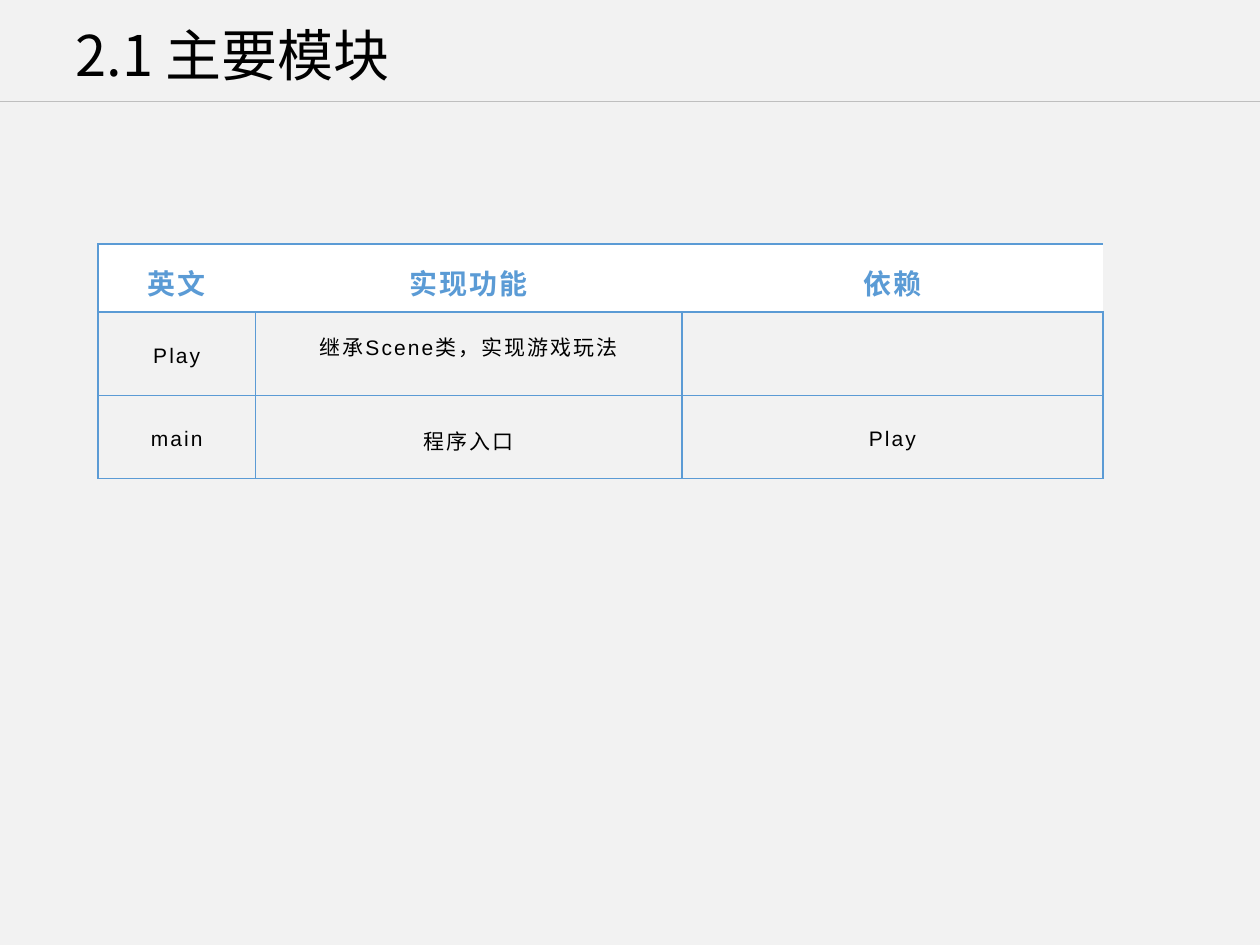
from lxml.etree import SubElement
from pptx import Presentation
from pptx.dml.color import RGBColor
from pptx.enum.shapes import MSO_CONNECTOR
from pptx.enum.text import MSO_ANCHOR, MSO_AUTO_SIZE, PP_ALIGN
from pptx.oxml.ns import qn
from pptx.util import Pt

COLORS = {
    "background": "F2F2F2",
    "rule": "BFBFBF",
    "accent": "5B9BD5",
    "header": "FFFFFF",
    "text": "000000",
}
TITLE_FONT = "Noto Sans CJK SC"
TABLE_FONT = "Arial"
COLUMN_WIDTHS = [90, 243.6, 240.8]
ROW_HEIGHTS = [38.7, 47.7, 47.7]
MODULES = [
    ["英文", "实现功能", "依赖"],
    ["Play", "继承Scene类，实现游戏玩法", ""],
    ["main", "程序入口", "Play"],
]


def color(name):
    return RGBColor.from_string(COLORS[name])


def write_text(frame, text, *, font, size, fill="text", bold=False,
               align=PP_ALIGN.LEFT, line_spacing=1.0, tracking=0):
    paragraph = frame.paragraphs[0]
    paragraph.alignment = align
    paragraph.line_spacing = line_spacing
    run = paragraph.add_run()
    run.text = text
    run.font.name = font
    run.font.size = Pt(size)
    run.font.bold = bold
    run.font.color.rgb = color(fill)
    properties = run.font._element
    SubElement(properties, qn("a:ea")).set("typeface", TITLE_FONT)
    if tracking:
        properties.set("spc", str(round(tracking * 100)))


def set_border(cell, side, visible):
    properties = cell._tc.get_or_add_tcPr()
    line = SubElement(properties, qn(f"a:ln{side}"), w=str(Pt(1)))
    if visible:
        fill = SubElement(line, qn("a:solidFill"))
        SubElement(fill, qn("a:srgbClr"), val=COLORS["accent"])
    else:
        SubElement(line, qn("a:noFill"))


def add_heading(slide, left, top, width, height):
    title = slide.shapes.title
    title.left, title.top = Pt(left), Pt(top)
    title.width, title.height = Pt(width), Pt(height)
    frame = title.text_frame
    frame.auto_size = MSO_AUTO_SIZE.NONE
    frame.vertical_anchor = MSO_ANCHOR.MIDDLE
    write_text(frame, "2.1 主要模块", font=TITLE_FONT, size=32, line_spacing=0.9)


def add_rule(slide, left, top, width):
    rule = slide.shapes.add_connector(
        MSO_CONNECTOR.STRAIGHT, Pt(left), Pt(top), Pt(left + width), Pt(top))
    rule.line.color.rgb = color("rule")
    rule.line.width = Pt(0.5)
    SubElement(rule._element.spPr, qn("a:effectLst"))


def add_module_table(slide, left, top):
    table = slide.shapes.add_table(
        len(ROW_HEIGHTS), len(COLUMN_WIDTHS), Pt(left), Pt(top),
        Pt(sum(COLUMN_WIDTHS)), Pt(sum(ROW_HEIGHTS))).table
    table.horz_banding = False
    for column, width in zip(table.columns, COLUMN_WIDTHS):
        column.width = Pt(width)
    for row_index, (row, height) in enumerate(zip(table.rows, ROW_HEIGHTS)):
        row.height = Pt(height)
        is_header = row_index == 0
        for column_index, cell in enumerate(row.cells):
            for side in "LRTB":
                hidden = is_header and (
                    side == "R" or side == "L" and column_index > 0)
                set_border(cell, side, not hidden)
            cell.fill.solid()
            cell.fill.fore_color.rgb = color("header" if is_header else "background")
            cell.vertical_anchor = MSO_ANCHOR.MIDDLE
            text = MODULES[row_index][column_index]
            if text:
                write_text(cell.text_frame, text, font=TABLE_FONT,
                           size=16 if is_header else 12,
                           fill="accent" if is_header else "text",
                           bold=is_header, align=PP_ALIGN.CENTER,
                           line_spacing=1.2, tracking=1.2)
    table.cell(1, 1).margin_bottom = Pt(15)


def main():
    presentation = Presentation()
    presentation.slide_width, presentation.slide_height = Pt(720), Pt(540)
    slide = presentation.slides.add_slide(presentation.slide_layouts[5])
    slide.background.fill.solid()
    slide.background.fill.fore_color.rgb = color("background")
    add_rule(slide, 0, 58, 720)
    add_heading(slide, 36, 10.8, 362, 44.6)
    add_module_table(slide, 56, 139.5)
    presentation.save("out.pptx")


if __name__ == "__main__":
    main()
